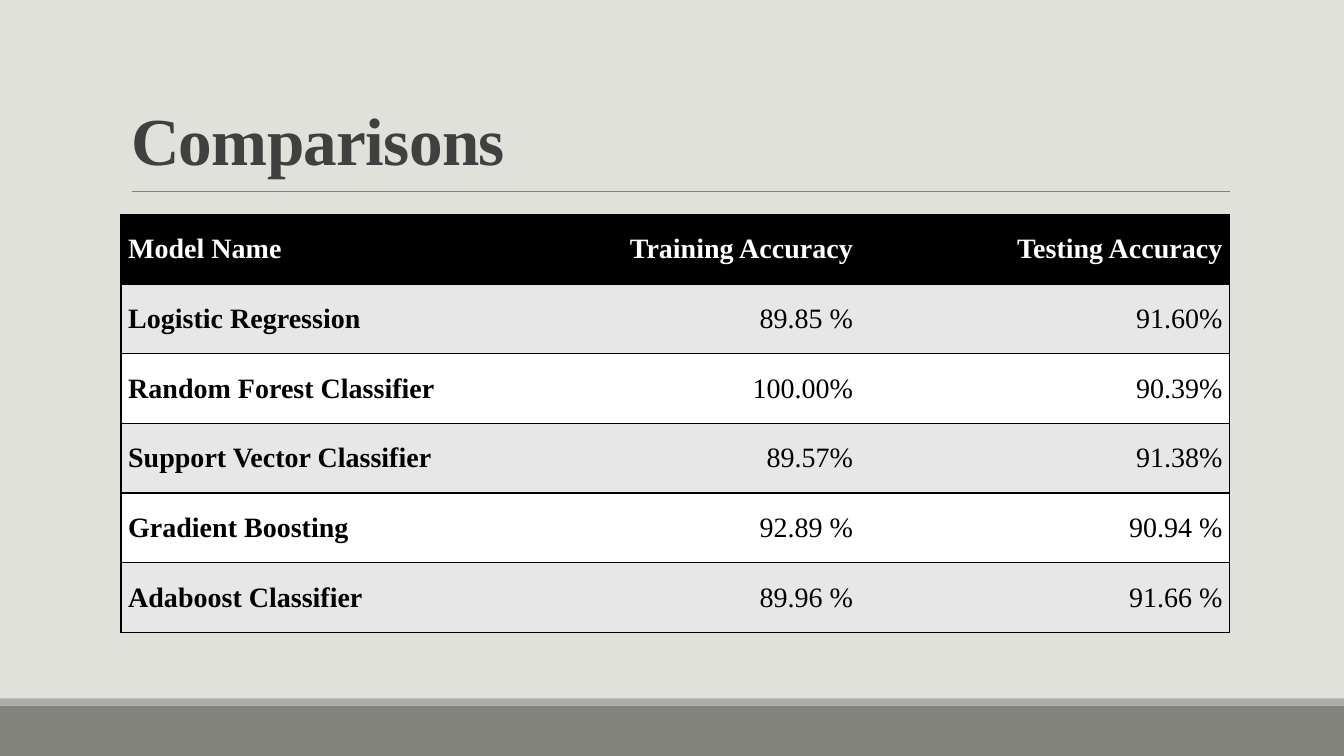
from lxml import etree
from pptx import Presentation, util as u
from pptx.dml.color import RGBColor
from pptx.enum import shapes, text
from pptx.oxml.ns import qn

FONT = "Times New Roman"
ROWS = [
    ("Model Name", "Training Accuracy", "Testing Accuracy"),
    ("Logistic Regression", "89.85 %", "91.60%"),
    ("Random Forest Classifier", "100.00%", "90.39%"),
    ("Support Vector Classifier", "89.57%", "91.38%"),
    ("Gradient Boosting", "92.89 %", "90.94 %"),
    ("Adaboost Classifier", "89.96 %", "91.66 %"),
]


def paint(fill, color):
    """Make a fill solid in a hex colour."""
    fill.solid()
    fill.fore_color.rgb = RGBColor.from_string(color)


def style_run(r, size, color, bold):
    """Format one run of text."""
    r.font.name, r.font.size, r.font.bold = FONT, u.Pt(size), bold
    paint(r.font.fill, color)


def add_band(s, x, y, w, h, color):
    """Draw a plain coloured strip."""
    sp = s.shapes.add_shape(shapes.MSO_SHAPE.RECTANGLE, u.Cm(x), u.Cm(y), u.Cm(w), u.Cm(h))
    sp.shadow.inherit = False
    paint(sp.fill, color)
    sp.line.fill.background()


def add_footer(s, x, y, w, h):
    """Draw the footer: a thin light strip above a dark one."""
    strip = 0.18
    add_band(s, x, y + strip, w, h - strip, "82847C")
    add_band(s, x, y, w, strip, "ACADA8")


def add_title(s, x, y, w, h):
    """Place the title and the rule under it."""
    sp = s.shapes.title
    sp.left, sp.top, sp.width, sp.height = u.Cm(x), u.Cm(y), u.Cm(w), u.Cm(h)
    tf = sp.text_frame
    tf.text = "Comparisons"
    tf.auto_size = text.MSO_AUTO_SIZE.NONE
    tf.vertical_anchor = text.MSO_ANCHOR.BOTTOM
    p = tf.paragraphs[0]
    p.alignment, p.line_spacing = text.PP_ALIGN.LEFT, 0.85
    r = p.runs[0]
    style_run(r, 48, "404040", True)
    r.font._element.set("spc", "-50")

    rule_y = u.Cm(y + h + 0.18)
    rule = s.shapes.add_connector(shapes.MSO_CONNECTOR.STRAIGHT,
                                  u.Cm(x + 0.28), rule_y, u.Cm(x + w), rule_y)
    paint(rule.line.fill, "808080")
    rule.line.width = u.Pt(0.5)
    etree.SubElement(rule._element.spPr, qn("a:effectLst"))


def set_borders(cell, sides):
    """Draw 1 pt black borders on the given sides and none elsewhere."""
    tc_pr = cell._tc.get_or_add_tcPr()
    for side in "LRTB":
        ln = etree.SubElement(tc_pr, qn(f"a:ln{side}"), w=str(u.Pt(1)))
        if side in sides:
            fill = etree.SubElement(ln, qn("a:solidFill"))
            etree.SubElement(fill, qn("a:srgbClr"), val="000000")
        else:
            etree.SubElement(ln, qn("a:noFill"))


def add_accuracy_table(s, x, y, w, h):
    """Fill the table of model accuracies with equal rows and columns."""
    n_rows, n_cols = len(ROWS), len(ROWS[0])
    table = s.shapes.add_table(n_rows, n_cols, u.Cm(x), u.Cm(y), u.Cm(w), u.Cm(h)).table
    for i, row in enumerate(ROWS):
        header = i == 0
        back = "000000" if header else "E7E7E7" if i % 2 else "FFFFFF"
        for j, value in enumerate(row):
            first = j == 0
            cell = table.cell(i, j)
            set_borders(cell, "TB" + ("L" if first else "R" if j == n_cols - 1 else ""))
            paint(cell.fill, back)
            cell.margin_left = cell.margin_right = u.Cm(0.18)
            cell.margin_top = cell.margin_bottom = 0
            cell.vertical_anchor = text.MSO_ANCHOR.MIDDLE
            cell.text_frame.text = value
            p = cell.text_frame.paragraphs[0]
            p.alignment = text.PP_ALIGN.JUSTIFY if first else text.PP_ALIGN.RIGHT
            style_run(p.runs[0], 20, "FFFFFF" if header else "000000", header or first)


def build_comparison_slide(prs):
    """Build the slide that compares the models."""
    s = prs.slides.add_slide(prs.slide_layouts[5])
    paint(s.background.fill, "E1E1DB")
    add_footer(s, 0, 17.6, 33.87, 1.45)
    add_title(s, 3.05, 0.61, 27.94, 4.04)
    add_accuracy_table(s, 3.05, 5.4, 27.94, 10.54)


prs = Presentation()
prs.slide_width, prs.slide_height = u.Cm(33.87), u.Cm(19.05)
build_comparison_slide(prs)
prs.save("out.pptx")
